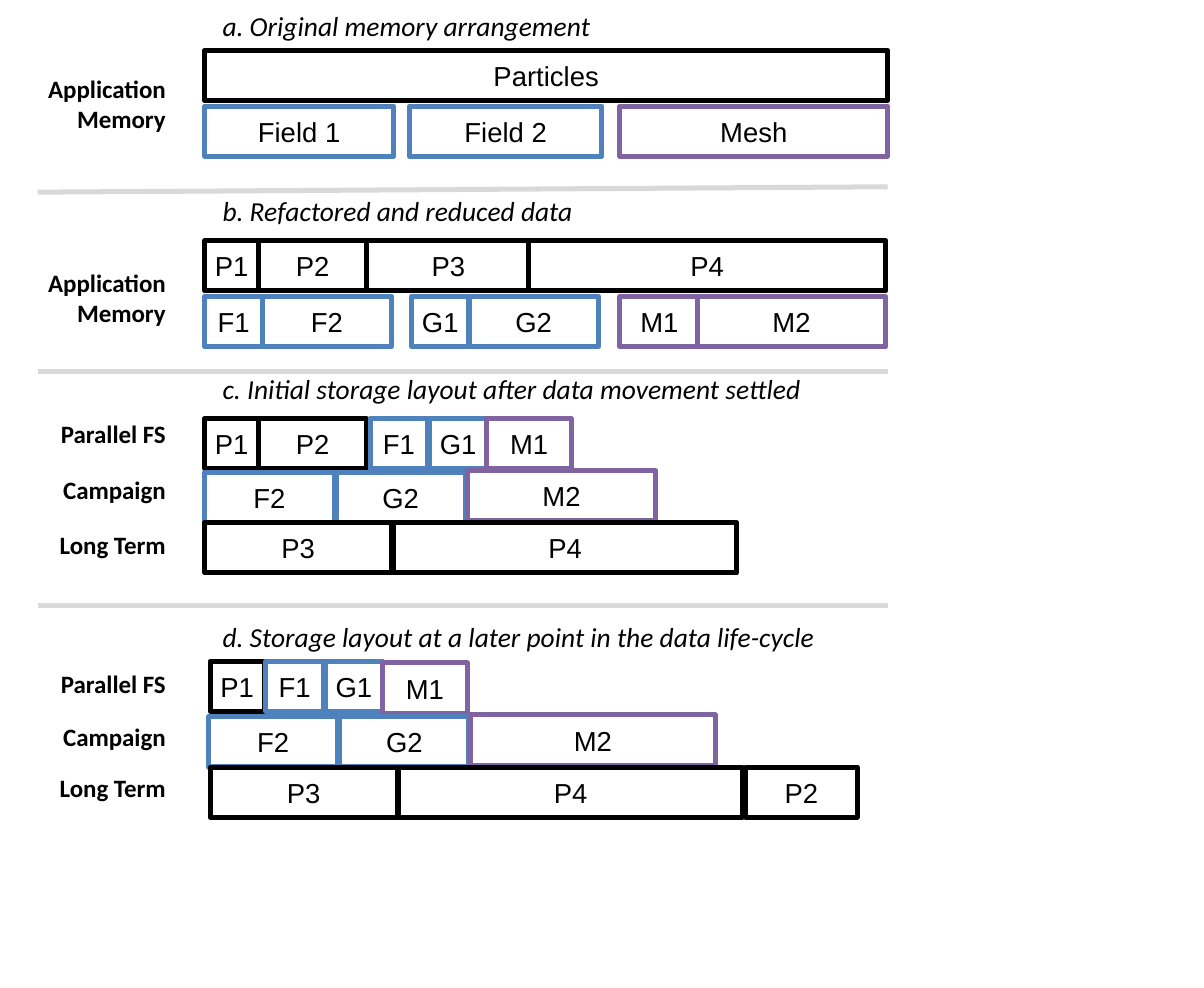
from collections import namedtuple

from pptx import Presentation
from pptx.dml.color import RGBColor
from pptx.enum.shapes import MSO_CONNECTOR, MSO_SHAPE
from pptx.enum.text import MSO_ANCHOR, PP_ALIGN
from pptx.oxml.ns import qn
from pptx.util import Inches, Pt

RECTANGLE, STRAIGHT = MSO_SHAPE.RECTANGLE, MSO_CONNECTOR.STRAIGHT
TOP, MIDDLE = MSO_ANCHOR.TOP, MSO_ANCHOR.MIDDLE
LEFT, CENTER, RIGHT = PP_ALIGN.LEFT, PP_ALIGN.CENTER, PP_ALIGN.RIGHT

BLACK = RGBColor(0x00, 0x00, 0x00)
WHITE = RGBColor(0xFF, 0xFF, 0xFF)
BLUE = RGBColor(0x4F, 0x81, 0xBD)
PURPLE = RGBColor(0x80, 0x64, 0xA2)
GREY = RGBColor(0xD9, 0xD9, 0xD9)
# Particles, fields F and G, and mesh each have an outline colour
OUTLINES = {"P": BLACK, "F": BLUE, "G": BLUE, "M": PURPLE}

# The slide is a grid of square cells
COLUMNS, ROWS = 670, 550
CELL = Inches(0.01)
LINE_WIDTH = Pt(2)
BLOCK_HEIGHT = 28
CAPTION_HEIGHT = 29
LABEL_WIDTH = 92
BLOCKS_LEFT = 104  # from the left edge of a section

Box = namedtuple("Box", "left top width height")
Section = namedtuple("Section", "box caption caption_width labels rows")

STORAGE = ("Parallel FS", "Campaign", "Long Term")
MEMORY = "Application\nMemory"

# labels: (text, top, height); rows: (top, [(text, left, width, optional shift down)])
SECTIONS = [
    Section(
        Box(10, 0, 484, 103), "a. Original memory arrangement", 260,
        [(MEMORY, 36, 44)],
        [(28, [("Particles", 0, 380)]),
         (59, [("Field 1", 0, 105), ("Field 2", 114, 107), ("Mesh", 231, 149)])]),
    Section(
        Box(10, 103, 484, 99), "b. Refactored and reduced data", 260,
        [(MEMORY, 41, 44)],
        [(31, [("P1", 0, 30), ("P2", 30, 60), ("P3", 90, 91), ("P4", 180, 199)]),
         (62, [("F1", 0, 32), ("F2", 32, 72), ("G1", 115, 32), ("G2", 147, 72),
               ("M1", 231, 44), ("M2", 274, 105)])]),
    Section(
        Box(10, 202, 484, 138),
        "c. Initial storage layout after data movement settled", 349,
        [(text, top, 27) for text, top in zip(STORAGE, (26, 57, 88))],
        [(31, [("P1", 0, 30), ("P2", 30, 60), ("F1", 92, 32), ("G1", 125, 32),
               ("M1", 157, 47)]),
         (61, [("F2", 0, 72), ("G2", 73, 72), ("M2", 146, 105, -1)]),
         (89, [("P3", 0, 104), ("P4", 105, 191)])]),
    Section(
        Box(10, 340, 484, 138),
        "d. Storage layout at a later point in the data life-cycle", 357,
        [(text, top, 27) for text, top in zip(STORAGE, (27, 57, 85))],
        [(28, [("P1", 3, 30), ("F1", 34, 32), ("G1", 67, 32), ("M1", 99, 47, 1)]),
         (59, [("F2", 2, 72), ("G2", 75, 72), ("M2", 148, 136, -1)]),
         (87, [("P3", 3, 104), ("P4", 108, 191), ("P2", 301, 62)])]),
]
# Rows of the grid where each divider starts and ends
DIVIDERS = [(107, 104), (207, 207), (337, 337)]
DIVIDER_LEFT, DIVIDER_RIGHT = 21, 494


def cells(*counts):
    """Turn counts of grid cells into slide lengths."""
    return [count * CELL for count in counts]


def write(shape, text, font="Calibri", size=10, bold=False, italic=False,
          align=LEFT, anchor=TOP):
    """Write text into a shape, one paragraph a line, in the given format."""
    frame = shape.text_frame
    frame.word_wrap = True
    frame.vertical_anchor = anchor
    frame.text = text
    for paragraph in frame.paragraphs:
        paragraph.alignment = align
        for run in paragraph.runs:
            run.font.name = font
            run.font.size = Pt(size)
            run.font.bold = bold
            run.font.italic = italic
            run.font.color.rgb = BLACK


def add_text(slide, box, text, **text_format):
    """Add a text box that fills the given box."""
    write(slide.shapes.add_textbox(*cells(*box)), text, **text_format)


def add_block(slide, box, text):
    """Add a data block, outlined by the kind of data its name starts with."""
    shape = slide.shapes.add_shape(RECTANGLE, *cells(*box))
    shape.shadow.inherit = False
    shape.fill.solid()
    shape.fill.fore_color.rgb = WHITE
    shape.line.color.rgb = OUTLINES[text[0]]
    shape.line.width = LINE_WIDTH
    shape.text_frame.margin_left = shape.text_frame.margin_right = 0
    write(shape, text, font="Arial", size=11, align=CENTER, anchor=MIDDLE)


def add_section(slide, section):
    """Place a caption, row labels and rows of blocks inside the section's box."""
    box = section.box
    left = box.left + BLOCKS_LEFT
    add_text(slide, Box(left, box.top, section.caption_width, CAPTION_HEIGHT),
             section.caption, size=11, italic=True)
    for text, top, height in section.labels:
        add_text(slide, Box(box.left, box.top + top, LABEL_WIDTH, height),
                 text, bold=True, align=RIGHT)
    for top, blocks in section.rows:
        for text, start, width, *shift in blocks:
            block_top = box.top + top + sum(shift)
            add_block(slide, Box(left + start, block_top, width, BLOCK_HEIGHT), text)


def add_divider(slide, start_row, end_row):
    """Draw a grey line between two sections."""
    line = slide.shapes.add_connector(
        STRAIGHT, *cells(DIVIDER_LEFT, start_row, DIVIDER_RIGHT, end_row))
    line.line.color.rgb = GREY
    line.line.width = LINE_WIDTH
    properties = line._element.spPr
    properties.append(properties.makeelement(qn("a:effectLst"), {}))


def main():
    """Build the slide and save it."""
    presentation = Presentation()
    presentation.slide_width, presentation.slide_height = cells(COLUMNS, ROWS)
    slide = presentation.slides.add_slide(presentation.slide_layouts[6])
    for section in SECTIONS:
        add_section(slide, section)
    for start_row, end_row in DIVIDERS:
        add_divider(slide, start_row, end_row)
    presentation.save("out.pptx")


main()
